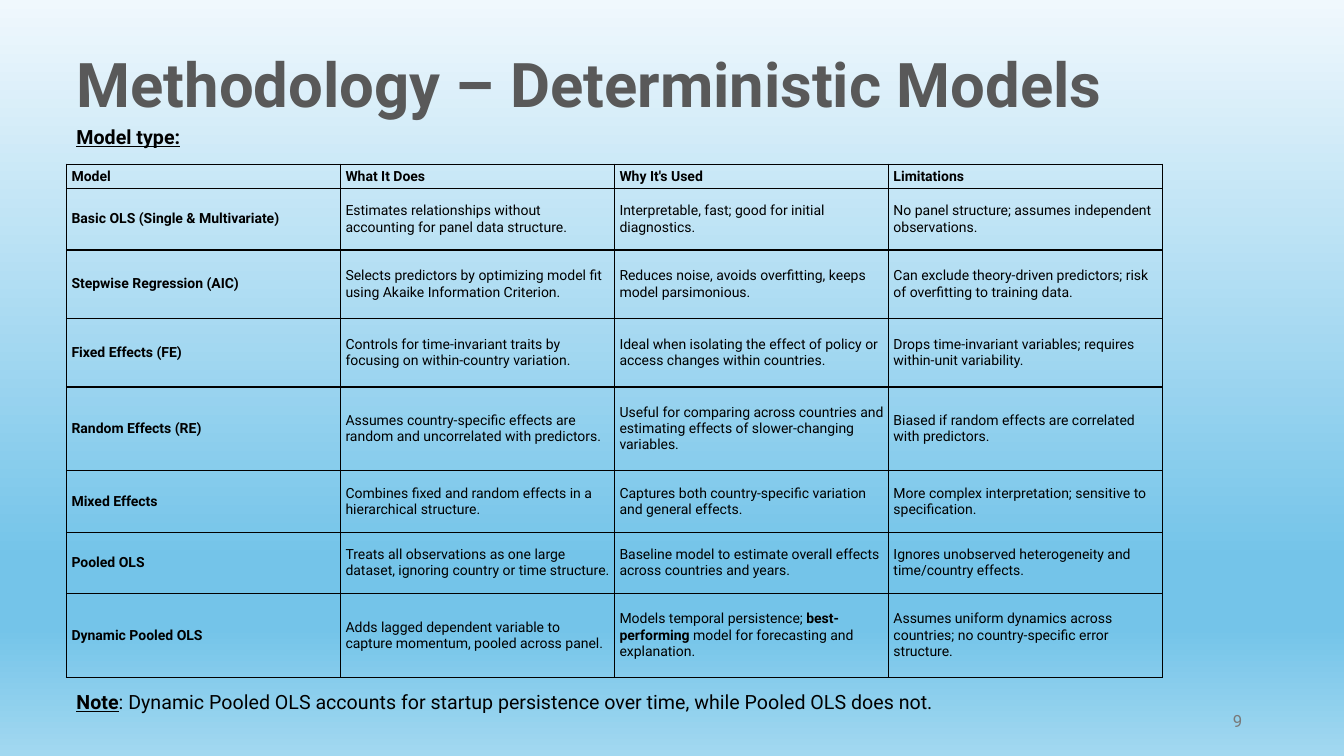
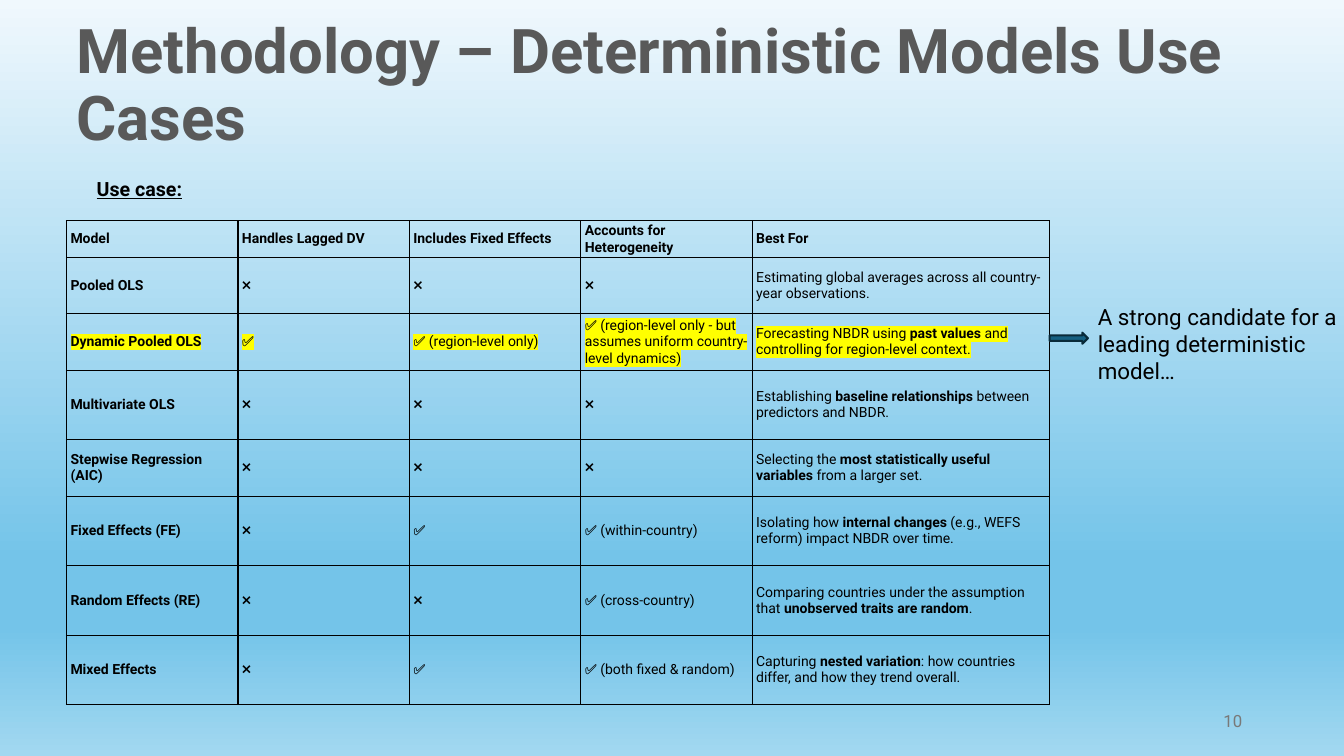
from lxml import etree
from pptx import Presentation, util as u
from pptx.dml.color import RGBColor
from pptx.enum import shapes, text
from pptx.oxml.ns import qn

THEME = {
    "font": "Roboto",
    "ink": "000000", "title": "595959", "page": "797979", "mark": "FFFF00",
    "arrow": "156082", "edge": "092A39",
    "sky": [(0, "F0F8FD"), (74, "74C4E9"), (83, "74C4E9"), (100, "A2D8F0")],
    "size": {"title": 44, "call": 16, "label": 14, "page": 12, "cell": 10},
}
WIDE, HIGH = 13.33, 7.5
LEFT = 0.66
TITLE = (LEFT, 0.14, 12.06, 1.45)
PAGE = (9.42, 6.95, 3, 0.4)
NO, YES = "❌", "✅"

# Text between asterisks is bold; in labels it is underlined too.
SLIDES = [
    {
        "title": "Methodology – Deterministic Models",
        "page": 9,
        "labels": [
            ("*Model type:*", (LEFT, 1.19, 2.07, 0.34)),
            ("*Note*: Dynamic Pooled OLS accounts for startup persistence over time, "
             "while Pooled OLS does not.", (LEFT, 6.8, 9.14, 0.34)),
        ],
        "top": 1.63, "width": 10.87, "shares": [1, 1, 1, 1], "pad": (0.05, 0.03),
        "rows": [
            (0.24, "Model", "*What It Does*", "*Why It's Used*", "*Limitations*"),
            (0.61, "Basic OLS (Single & Multivariate)",
             "Estimates relationships without accounting for panel data structure.",
             "Interpretable, fast; good for initial diagnostics.",
             "No panel structure; assumes independent observations."),
            (0.68, "Stepwise Regression (AIC)",
             "Selects predictors by optimizing model fit using Akaike Information Criterion.",
             "Reduces noise, avoids overfitting, keeps model parsimonious.",
             "Can exclude theory-driven predictors; risk of overfitting to training data."),
            (0.68, "Fixed Effects (FE)",
             "Controls for time-invariant traits by focusing on within-country variation.",
             "Ideal when isolating the effect of policy or access changes within countries.",
             "Drops time-invariant variables; requires within-unit variability."),
            (0.83, "Random Effects (RE)",
             "Assumes country-specific effects are random and uncorrelated with predictors.",
             "Useful for comparing across countries and estimating effects of "
             "slower-changing variables.",
             "Biased if random effects are correlated with predictors."),
            (0.61, "Mixed Effects",
             "Combines fixed and random effects in a hierarchical structure.",
             "Captures both country-specific variation and general effects.",
             "More complex interpretation; sensitive to specification."),
            (0.61, "Pooled OLS",
             "Treats all observations as one large dataset, ignoring country or time structure.",
             "Baseline model to estimate overall effects across countries and years.",
             "Ignores unobserved heterogeneity and time/country effects."),
            (0.83, "Dynamic Pooled OLS",
             "Adds lagged dependent variable to capture momentum, pooled across panel.",
             "Models temporal persistence; *best-performing* model for forecasting "
             "and explanation.",
             "Assumes uniform dynamics across countries; no country-specific error structure."),
        ],
    },
    {
        "title": "Methodology – Deterministic Models Use Cases",
        "page": 10,
        "labels": [("*Use case:*", (0.86, 1.71, 2.07, 0.34))],
        "top": 2.19, "width": 9.75, "shares": [1.7, 1.7, 1.7, 1.7, 2.95],
        "pad": (0.04, 0.02),
        "rows": [
            (0.3, "Model", "*Handles Lagged DV*", "*Includes Fixed Effects*",
             "*Accounts for Heterogeneity*", "*Best For*"),
            (0.56, "Pooled OLS", NO, NO, NO,
             "Estimating global averages across all country-year observations."),
            (0.56, "Dynamic Pooled OLS", YES, f"{YES} (region-level only)",
             f"{YES} (region-level only - but assumes uniform country-level dynamics)",
             "Forecasting NBDR using *past values* and controlling for region-level context."),
            (0.69, "Multivariate OLS", NO, NO, NO,
             "Establishing *baseline relationships* between predictors and NBDR."),
            (0.56, "Stepwise Regression (AIC)", NO, NO, NO,
             "Selecting the *most statistically useful variables* from a larger set."),
            (0.69, "Fixed Effects (FE)", NO, YES, f"{YES} (within-country)",
             "Isolating how *internal changes* (e.g., WEFS reform) impact NBDR over time."),
            (0.69, "Random Effects (RE)", NO, NO, f"{YES} (cross-country)",
             "Comparing countries under the assumption that *unobserved traits are random*."),
            (0.69, "Mixed Effects", NO, YES, f"{YES} (both fixed & random)",
             "Capturing *nested variation*: how countries differ, and how they trend overall."),
        ],
        "marked": 2,
        "call": ("A strong candidate for a leading deterministic model…",
                 (10.79, 2.96, 2.68, 0.91)),
        "arrow": (10.41, 3.3, 0.38, 0.11),
    },
]


def rgb(code):
    return RGBColor.from_string(code)


def box(dims):
    return [u.Inches(d) for d in dims]


def apply(thing, **values):
    for name, value in values.items():
        setattr(thing, name, value)


def solid(parent, tag, code):
    """Add a child holding one colour."""
    node = etree.SubElement(parent, qn(tag))
    etree.SubElement(node, qn("a:srgbClr"), val=code)
    return node


def write(para, words, size, ink="ink", strong=None, mark=False):
    """Write runs, giving those between asterisks the strong format."""
    for i, part in enumerate(words.split("*")):
        if not part:
            continue
        run = para.add_run()
        run.text = part
        look = {"name": THEME["font"], "size": u.Pt(THEME["size"][size]), "bold": False}
        if i % 2:
            look.update(strong or {"bold": True})
        apply(run.font, **look)
        run.font.color.rgb = rgb(THEME[ink])
        if mark:
            props = run.font.fill and run._r.get_or_add_rPr()
            props.find(qn("a:solidFill")).addnext(
                solid(props, "a:highlight", THEME["mark"]))


def add_text(slide, words, dims, size, ink="ink", **frame):
    body = slide.shapes.add_textbox(*box(dims)).text_frame
    apply(body, word_wrap=True, **frame)
    write(body.paragraphs[0], words, size, ink, {"bold": True, "underline": True})
    return body.paragraphs[0]


def rule_cell(cell):
    """Draw the four borders of a cell and leave it clear."""
    props = cell._tc.get_or_add_tcPr()
    for side in "LRTB":
        line = etree.SubElement(props, qn(f"a:ln{side}"), w=str(u.Pt(1)))
        solid(line, "a:solidFill", THEME["ink"])
    cell.fill.background()


def add_grid(slide, data):
    rows, shares = data["rows"], data["shares"]
    dims = (LEFT, data["top"], data["width"], sum(r[0] for r in rows))
    grid = slide.shapes.add_table(len(rows), len(shares), *box(dims)).table
    apply(grid, first_row=False, horz_banding=False)
    for col, share in zip(grid.columns, shares):
        col.width = u.Inches(data["width"] * share / sum(shares))
    x, y = box(data["pad"])
    for r, (high, name, *rest) in enumerate(rows):
        grid.rows[r].height = u.Inches(high)
        for c, words in enumerate([f"*{name}*", *rest]):
            cell = grid.cell(r, c)
            apply(cell, margin_left=x, margin_right=x, margin_top=y, margin_bottom=y,
                  vertical_anchor=text.MSO_ANCHOR.MIDDLE)
            rule_cell(cell)
            write(cell.text_frame.paragraphs[0], words, "cell",
                  mark=r == data.get("marked"))


def add_arrow(slide, dims):
    arrow = slide.shapes.add_shape(shapes.MSO_SHAPE.RIGHT_ARROW, *box(dims))
    arrow.shadow.inherit = False
    arrow.fill.solid()
    arrow.fill.fore_color.rgb = rgb(THEME["arrow"])
    arrow.line.color.rgb = rgb(THEME["edge"])
    arrow.line.width = u.Pt(1.5)


def set_master(deck):
    """Give every slide the sky gradient and the title place."""
    master = deck.slide_master
    fill = master.background.fill
    fill.gradient()
    fill.gradient_angle = 270
    stops = next(master.element.iter(qn("a:gsLst")))
    for stop in list(stops):
        stops.remove(stop)
    for pos, code in THEME["sky"]:
        solid(stops, "a:gs", code).set("pos", str(pos * 1000))
    layout = deck.slide_layouts.get_by_name("Title Only")
    place = dict(zip(("left", "top", "width", "height"), box(TITLE)))
    apply(layout.placeholders[0], **place)
    return layout


def add_slide(deck, layout, data):
    slide = deck.slides.add_slide(layout)
    head = slide.shapes.title.text_frame
    apply(head, word_wrap=True, auto_size=text.MSO_AUTO_SIZE.NONE,
          vertical_anchor=text.MSO_ANCHOR.MIDDLE)
    para = head.paragraphs[0]
    apply(para, alignment=text.PP_ALIGN.LEFT, line_spacing=0.9)
    write(para, f"*{data['title']}*", "title", "title")
    add_grid(slide, data)
    grow = text.MSO_AUTO_SIZE.SHAPE_TO_FIT_TEXT
    for words, dims in data["labels"]:
        add_text(slide, words, dims, "label", auto_size=grow)
    if "call" in data:
        add_text(slide, *data["call"], "call", auto_size=grow)
        add_arrow(slide, data["arrow"])
    page = add_text(slide, str(data["page"]), PAGE, "page", "page",
                    vertical_anchor=text.MSO_ANCHOR.MIDDLE)
    page.alignment = text.PP_ALIGN.RIGHT


def main():
    deck = Presentation()
    apply(deck, slide_width=u.Inches(WIDE), slide_height=u.Inches(HIGH))
    layout = set_master(deck)
    for data in SLIDES:
        add_slide(deck, layout, data)
    deck.save("out.pptx")


if __name__ == "__main__":
    main()
